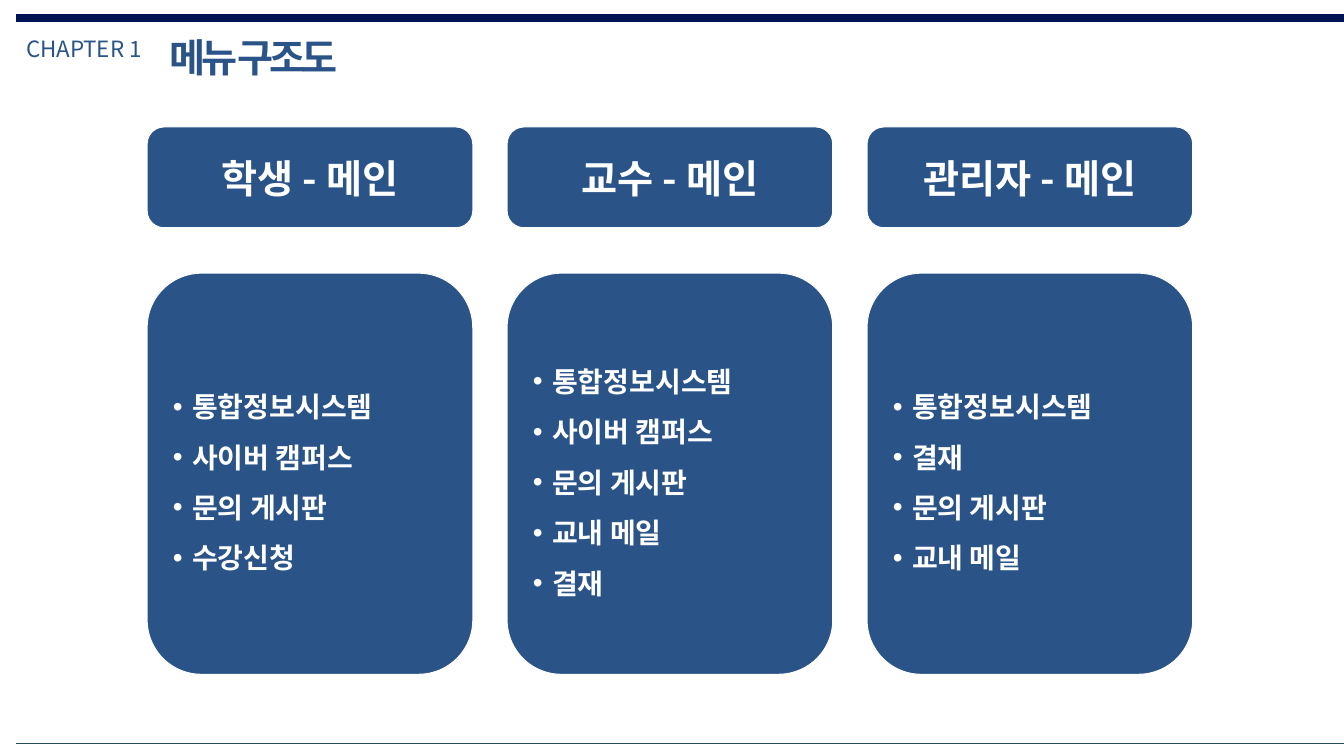
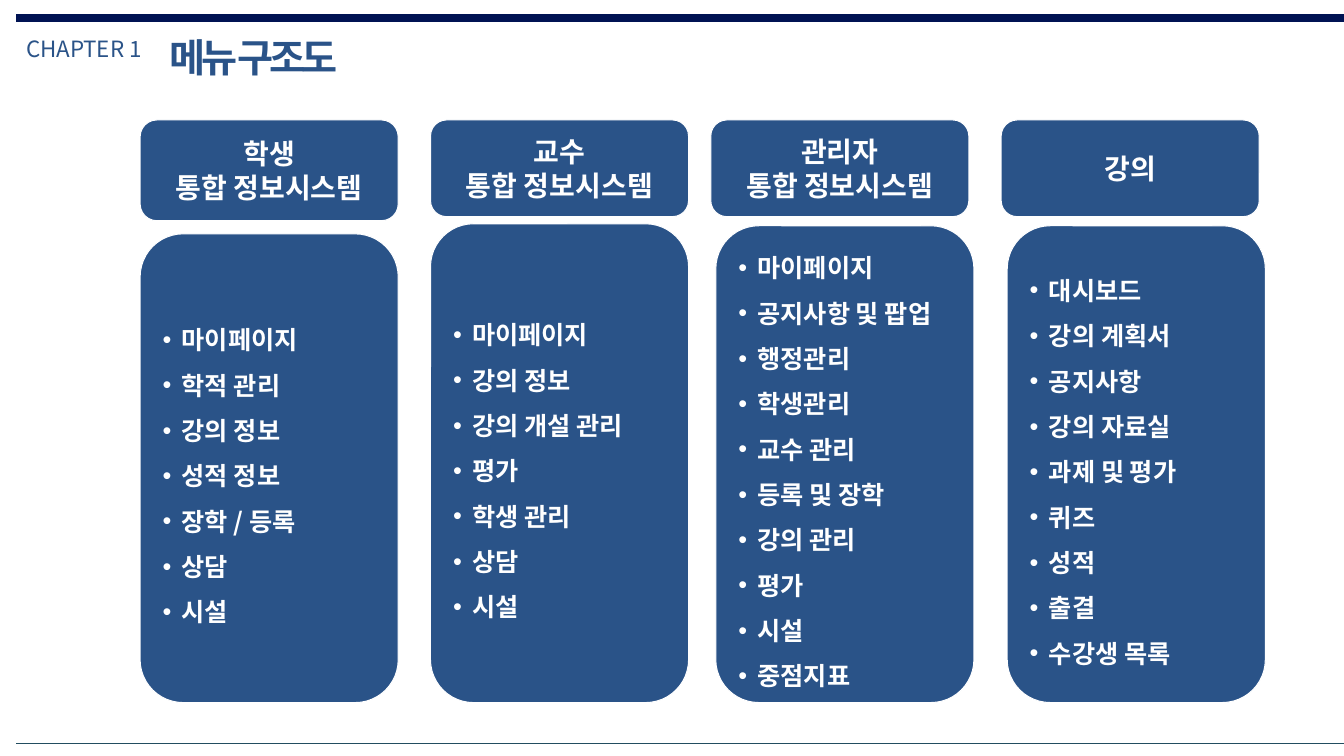
from dataclasses import dataclass

from lxml import etree
from pptx import Presentation
from pptx import util as u
from pptx.dml.color import RGBColor
from pptx.enum import shapes, text
from pptx.oxml import ns

# Shared look
COLORS = {"band": "001353", "rule": "224D60", "blue": "2A5388", "white": "FFFFFF"}
FONT = "Noto Sans CJK KR"
WIDTH, HEIGHT = 13.33, 7.5
MARGIN = 0.16
BULLET_INDENT = 0.19


@dataclass
class Box:
    left: float
    top: float
    width: float
    height: float

    def inches(self):
        return [u.Inches(v) for v in (self.left, self.top, self.width, self.height)]


@dataclass
class Menu:
    heading: list
    items: list
    header_height: float = 1.0
    body_offset: float = 1.45
    body_shift: float = 0


def color(name):
    return RGBColor.from_string(COLORS[name])


def add_run(paragraph, words, size, color_name, bold=False, spacing=None):
    run = paragraph.add_run()
    run.text = words
    run.font.size = u.Pt(size)
    run.font.bold = bold
    run.font.name = FONT
    run.font.color.rgb = color(color_name)
    properties = run.font._element
    if spacing is not None:
        properties.set("spc", str(spacing * 100))
    east_asian = etree.Element(ns.qn("a:ea"), typeface=FONT)
    properties.find(ns.qn("a:latin")).addnext(east_asian)


def add_bullet(paragraph):
    properties = paragraph._p.get_or_add_pPr()
    indent = u.Inches(BULLET_INDENT)
    properties.set("marL", str(indent))
    properties.set("indent", str(-indent))
    etree.SubElement(properties, ns.qn("a:buFont"), typeface="Arial")
    etree.SubElement(properties, ns.qn("a:buChar"), char="•")


def add_rule(slide, y, color_name, weight):
    rule = slide.shapes.add_connector(
        shapes.MSO_CONNECTOR.STRAIGHT,
        u.Inches(MARGIN), u.Inches(y), u.Inches(WIDTH), u.Inches(y))
    rule.line.color.rgb = color(color_name)
    rule.line.width = u.Pt(weight)
    etree.SubElement(rule._element.spPr, ns.qn("a:effectLst"))


def write_label(shape, box, words, size, **style):
    """One unwrapped line of blue text in the heading area."""
    shape.left, shape.top, shape.width, shape.height = box.inches()
    frame = shape.text_frame
    frame.word_wrap = False
    frame.auto_size = text.MSO_AUTO_SIZE.SHAPE_TO_FIT_TEXT
    frame.vertical_anchor = text.MSO_ANCHOR.TOP
    paragraph = frame.paragraphs[0]
    paragraph.alignment = text.PP_ALIGN.LEFT
    add_run(paragraph, words, size, "blue", **style)


def add_page(presentation, chapter, title):
    """A title-only slide with band, chapter label, title and foot rule."""
    slide = presentation.slides.add_slide(presentation.slide_layouts[5])
    add_rule(slide, 0.18, "band", 6)
    chapter_box = Box(MARGIN, 0.3, 1.52, 0.37)
    label = slide.shapes.add_textbox(*chapter_box.inches())
    write_label(label, chapter_box, chapter, 16)
    write_label(slide.shapes.title, Box(1.58, 0.28, 2.02, 0.57), title, 28,
                bold=True, spacing=-3)
    add_rule(slide, 7.37, "rule", 0.25)
    return slide


def add_panel(slide, box, lines, size, bulleted=False):
    """A rounded blue panel with centred lines or a bulleted list."""
    panel = slide.shapes.add_shape(shapes.MSO_SHAPE.ROUNDED_RECTANGLE, *box.inches())
    panel.shadow.inherit = False
    panel.fill.solid()
    panel.fill.fore_color.rgb = color("blue")
    panel.line.color.rgb = color("white")
    panel.line.width = u.Pt(0)
    frame = panel.text_frame
    frame.word_wrap = True
    frame.vertical_anchor = text.MSO_ANCHOR.MIDDLE
    for index, line in enumerate(lines):
        paragraph = frame.add_paragraph() if index else frame.paragraphs[0]
        if bulleted:
            add_bullet(paragraph)
            paragraph.alignment = text.PP_ALIGN.LEFT
            paragraph.line_spacing = 1.5
        else:
            paragraph.alignment = text.PP_ALIGN.CENTER
        add_run(paragraph, line, size, "white", bold=True)


def add_menu(slide, box, menu, heading_size, item_size):
    """A heading panel above a list panel that reaches the foot of the box."""
    add_panel(slide, Box(box.left, box.top, box.width, menu.header_height),
              menu.heading, heading_size)
    add_panel(slide,
              Box(box.left + menu.body_shift, box.top + menu.body_offset,
                  box.width, box.height - menu.body_offset),
              menu.items, item_size, bulleted=True)


def add_menu_slide(presentation, menus, lefts, area, heading_size, item_size):
    """A page of menus; area gives the first column, lefts every column's start."""
    slide = add_page(presentation, "CHAPTER 1", "메뉴 구조도")
    for left, menu in zip(lefts, menus):
        add_menu(slide, Box(left, area.top, area.width, area.height),
                 menu, heading_size, item_size)


MAIN_MENUS = [
    Menu(["학생 - 메인"], ["통합정보시스템", "사이버 캠퍼스", "문의 게시판", "수강신청"]),
    Menu(["교수 - 메인"],
         ["통합정보시스템", "사이버 캠퍼스", "문의 게시판", "교내 메일", "결재"]),
    Menu(["관리자 - 메인"], ["통합정보시스템", "결재", "문의 게시판", "교내 메일"]),
]

SYSTEM_MENUS = [
    Menu(["학생", "통합 정보시스템"],
         ["마이페이지", "학적 관리", "강의 정보", "성적 정보", "장학 / 등록", "상담", "시설"],
         1.0, 1.13),
    Menu(["교수", "통합 정보시스템"],
         ["마이페이지", "강의 정보", "강의 개설 관리", "평가", "학생 관리", "상담", "시설"],
         0.96, 1.03),
    Menu(["관리자", "통합 정보시스템"],
         ["마이페이지", "공지사항 및 팝업", "행정관리", "학생관리", "교수 관리",
          "등록 및 장학", "강의 관리", "평가", "시설", "중점지표"],
         0.96, 1.05, 0.05),
    Menu(["강의"],
         ["대시보드", "강의 계획서", "공지사항", "강의 자료실", "과제 및 평가",
          "퀴즈", "성적", "출결", "수강생 목록"],
         0.96, 1.05, 0.06),
]


def main():
    presentation = Presentation()
    presentation.slide_width = u.Inches(WIDTH)
    presentation.slide_height = u.Inches(HEIGHT)

    # Main menus: equal columns
    area = Box(1.46, 1.26, 3.23, 5.43)
    gap = 0.34
    lefts = [area.left + column * (area.width + gap) for column in range(len(MAIN_MENUS))]
    add_menu_slide(presentation, MAIN_MENUS, lefts, area, 28, 20)

    # System menus: two pairs of columns
    area = Box(1.39, 1.19, 2.56, 5.78)
    pair_pitch, column_pitch = 5.66, 2.88
    lefts = [area.left + pair * pair_pitch + column * column_pitch
             for pair in range(2) for column in range(2)]
    add_menu_slide(presentation, SYSTEM_MENUS, lefts, area, 20, 18)

    presentation.save("out.pptx")


if __name__ == "__main__":
    main()
